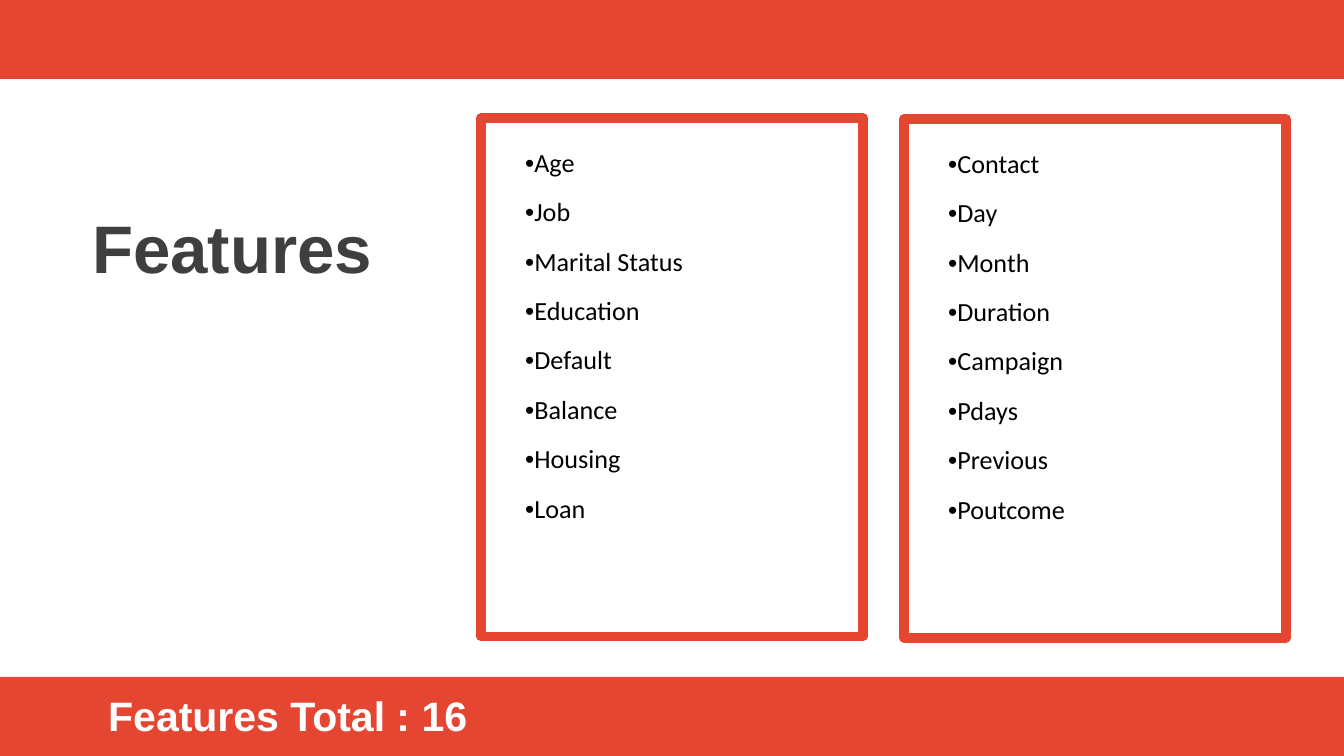
"""Build the Features slide: two framed lists between red bands."""
from pptx import Presentation
from pptx.dml.color import RGBColor
from pptx.enum.shapes import MSO_SHAPE
from pptx.enum.text import MSO_ANCHOR
from pptx.util import Pt

RECTANGLE = MSO_SHAPE.RECTANGLE
TOP = MSO_ANCHOR.TOP
MIDDLE = MSO_ANCHOR.MIDDLE

RED = RGBColor(0xE5, 0x46, 0x32)
GRAY = RGBColor(0x3F, 0x3F, 0x3F)
WHITE = RGBColor(0xFF, 0xFF, 0xFF)
BLACK = RGBColor(0x00, 0x00, 0x00)

EMU_PER_PX = 914400 / 134.4
SLIDE_WIDTH, SLIDE_HEIGHT = 1344, 756
BAND_HEIGHT = 79
COLUMN_LEFT, COLUMN_TOP = 481, 118
COLUMN_STEP, COLUMN_DROP = 423, 1

FEATURE_COLUMNS = [
    ["Age", "Job", "Marital Status", "Education",
     "Default", "Balance", "Housing", "Loan"],
    ["Contact", "Day", "Month", "Duration",
     "Campaign", "Pdays", "Previous", "Poutcome"],
]
LIST_SPACING = {"line_spacing": 0.98, "space_before": Pt(10)}


def px(length):
    return round(length * EMU_PER_PX)


def add_rectangle(shapes, box, fill=None, line=None):
    shape = shapes.add_shape(RECTANGLE, *map(px, box))
    shape.shadow.inherit = False
    if fill is None:
        shape.fill.background()
    else:
        shape.fill.solid()
        shape.fill.fore_color.rgb = fill
    if line is None:
        shape.line.fill.background()
    else:
        shape.line.color.rgb = line
        shape.line.width = Pt(5)


def add_text_frame(slide, box, anchor):
    text_frame = slide.shapes.add_textbox(*map(px, box)).text_frame
    text_frame.word_wrap = True
    text_frame.vertical_anchor = anchor
    return text_frame


def add_run(paragraph, text, color, **formats):
    run = paragraph.add_run()
    run.text = text
    run.font.color.rgb = color
    for name, value in formats.items():
        setattr(run.font, name, value)


def add_heading(slide, box, text, size, color):
    paragraph = add_text_frame(slide, box, MIDDLE).paragraphs[0]
    add_run(paragraph, text, color, name="Arial", size=Pt(size), bold=True)


def add_feature_list(slide, left, top, features):
    group = slide.shapes.add_group_shape()
    add_rectangle(group.shapes, (left, top, 382, 519), line=RED)
    add_rectangle(group.shapes, (left + 28, top + 19, 329, 481), fill=WHITE)

    text_frame = add_text_frame(slide, (left + 31, top + 23, 324, 485), TOP)
    for index, feature in enumerate(features):
        paragraph = text_frame.add_paragraph() if index else text_frame.paragraphs[0]
        for name, value in LIST_SPACING.items():
            setattr(paragraph, name, value)
        add_run(paragraph, "•", BLACK, name="Arial", size=Pt(14))
        add_run(paragraph, feature, BLACK, name="Calibri", size=Pt(14))


def main():
    presentation = Presentation()
    presentation.slide_width = px(SLIDE_WIDTH)
    presentation.slide_height = px(SLIDE_HEIGHT)
    slide = presentation.slides.add_slide(presentation.slide_layouts[6])

    for top in (SLIDE_HEIGHT - BAND_HEIGHT, 0):
        add_rectangle(slide.shapes, (0, top, SLIDE_WIDTH, BAND_HEIGHT), fill=RED)
    add_heading(slide, (79, 98, 317, 297), "Features", 36, GRAY)
    for index, features in enumerate(FEATURE_COLUMNS):
        left = COLUMN_LEFT + index * COLUMN_STEP
        top = COLUMN_TOP + index * COLUMN_DROP
        add_feature_list(slide, left, top, features)
    add_heading(slide, (95, 675, 462, 81), "Features Total : 16", 22, WHITE)

    presentation.save("out.pptx")


if __name__ == "__main__":
    main()
